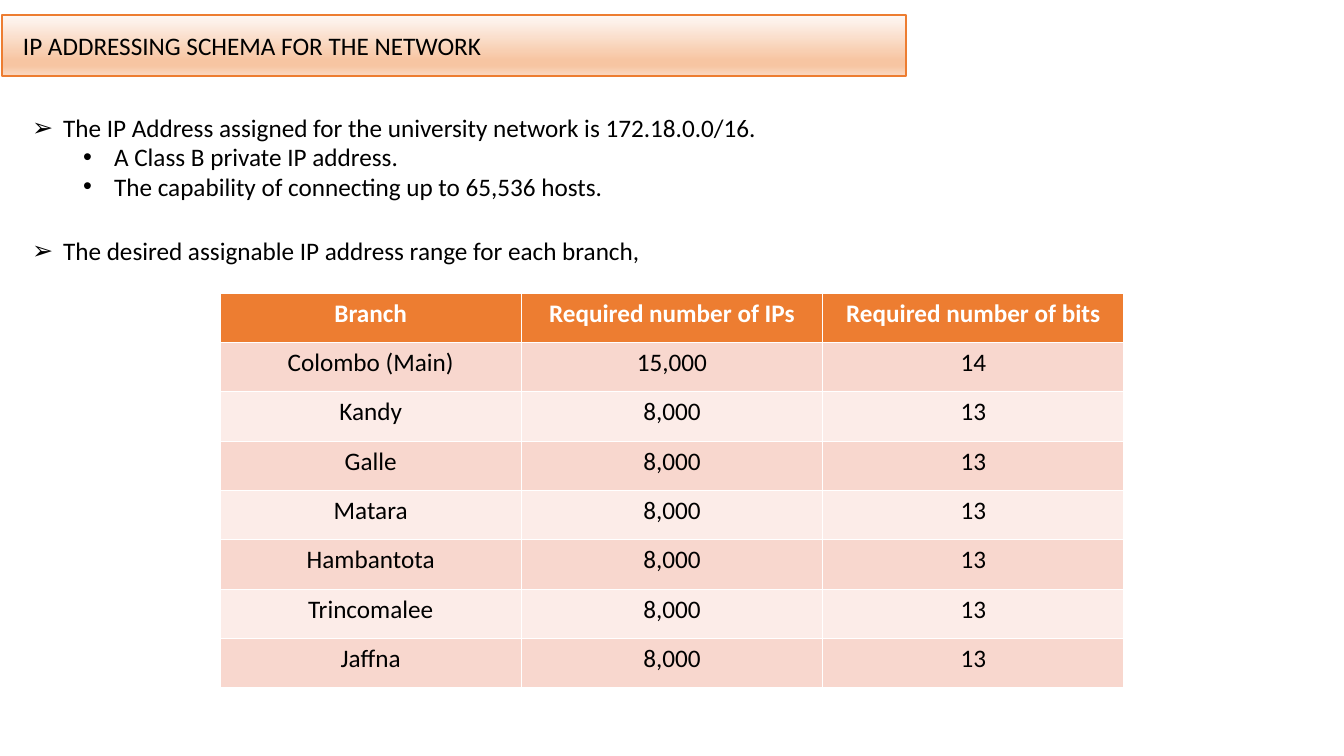
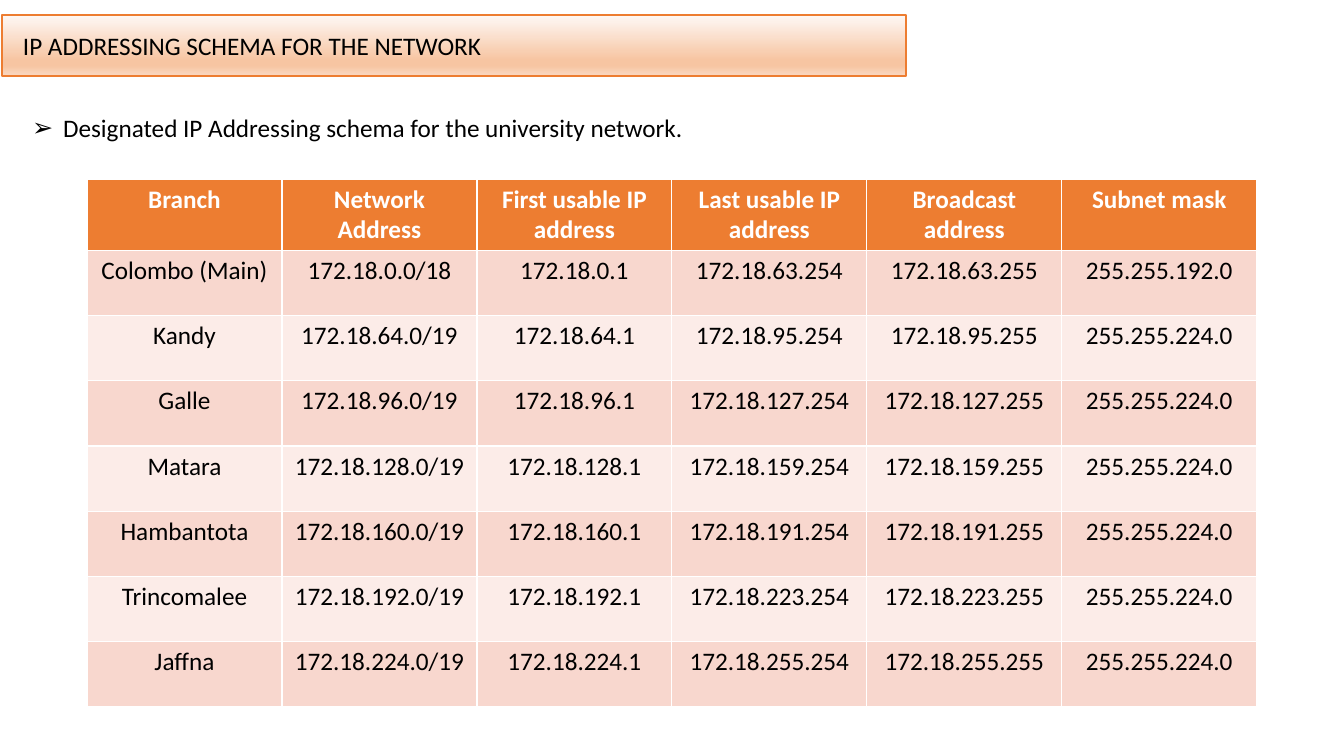
from lxml import etree
from pptx import Presentation
from pptx import util as u
from pptx.dml.color import RGBColor
from pptx.enum import text
from pptx.oxml import parse_xml
from pptx.oxml.ns import nsdecls, qn

PX = 12192000 / 1344
FONT = "Calibri"
SIZE = u.Pt(18)
BLACK = RGBColor(0x00, 0x00, 0x00)
WHITE = RGBColor(0xFF, 0xFF, 0xFF)
ORANGE = RGBColor(0xED, 0x7D, 0x31)
ROW_TINTS = [RGBColor(0xFC, 0xEC, 0xE8), RGBColor(0xF8, 0xD7, 0xCE)]
BAND_STOPS = [
    (0, RGBColor(0xFE, 0xF8, 0xF5)),
    (74, RGBColor(0xF7, 0xC5, 0xA2)),
    (83, RGBColor(0xF7, 0xC5, 0xA2)),
    (100, RGBColor(0xFA, 0xD8, 0xC1)),
]
TITLE = "IP ADDRESSING SCHEMA FOR THE NETWORK"
BULLETS = ["➢", "•"]
INDENTS = [31, 82]
HANGING = 31

# Branch, required number of IPs, required number of bits
BRANCHES = [("Colombo (Main)", "15,000", 14)] + [
    (name, "8,000", 13)
    for name in ("Kandy", "Galle", "Matara", "Hambantota", "Trincomalee", "Jaffna")
]

requirements = [("Branch", "Required number of IPs", "Required number of bits")] + BRANCHES

subnets = [("Branch", "Network Address", "First usable IP address",
            "Last usable IP address", "Broadcast address", "Subnet mask")]
start = 0
for branch, _, bits in BRANCHES:
    size = 2 ** (bits - 8)
    end = start + size - 1
    subnets.append((
        branch,
        f"172.18.{start}.0/{32 - bits}",
        f"172.18.{start}.1",
        f"172.18.{end}.254",
        f"172.18.{end}.255",
        f"255.255.{256 - size}.0",
    ))
    start += size

# List items are (level, points of space before, words); table boxes are in px
PAGES = [
    (
        [
            (0, 0, "The IP Address assigned for the university network is 172.18.0.0/16."),
            (1, 0, "A Class B private IP address."),
            (1, 0, "The capability of connecting up to 65,536 hosts."),
            (0, 25, "The desired assignable IP address range for each branch,"),
        ],
        requirements,
        (220, 293, 904, 395),
    ),
    (
        [(0, 0, "Designated IP Addressing schema for the university network.")],
        subnets,
        (87, 179, 1170, 521),
    ),
]


def px(length):
    return u.Emu(round(length * PX))


def place(shape, left, top, width, height):
    shape.left, shape.top = px(left), px(top)
    shape.width, shape.height = px(width), px(height)


deck = Presentation()
deck.slide_width, deck.slide_height = px(1344), px(756)

for items, rows, table_box in PAGES:
    page = deck.slides.add_slide(deck.slide_layouts[1])

    # Title band
    band = page.shapes.title
    place(band, 2, 15, 904, 61)
    stops = "".join(
        f'<a:gs pos="{pos * 1000}"><a:srgbClr val="{color}"/></a:gs>'
        for pos, color in BAND_STOPS
    )
    properties = band.element.spPr
    properties.append(parse_xml(
        f'<a:prstGeom {nsdecls("a")} prst="homePlate"><a:avLst/></a:prstGeom>'))
    properties.append(parse_xml(
        f'<a:gradFill {nsdecls("a")}><a:gsLst>{stops}</a:gsLst>'
        '<a:lin ang="5400000" scaled="0"/></a:gradFill>'))
    band.line.color.rgb = ORANGE
    band.line.width = u.Pt(1)
    frame = band.text_frame
    frame.text = TITLE
    frame.auto_size = text.MSO_AUTO_SIZE.NONE
    frame.vertical_anchor = text.MSO_ANCHOR.MIDDLE
    frame.margin_left = px(21)
    para = frame.paragraphs[0]
    para.alignment = text.PP_ALIGN.LEFT
    para.font.name, para.font.size = FONT, SIZE
    para.font.color.rgb = BLACK

    # Bulleted list
    body = page.placeholders[1]
    place(body, 22, 108, 763, 40 * len(items))
    frame = body.text_frame
    frame.text = "\n".join(words for _, _, words in items)
    frame.auto_size = text.MSO_AUTO_SIZE.NONE
    for para, (level, space, _) in zip(frame.paragraphs, items):
        para.level = level
        para.line_spacing = u.Pt(21)
        para.space_before = u.Pt(space)
        layout = para._p.get_or_add_pPr()
        layout.set("marL", str(px(INDENTS[level])))
        layout.set("indent", str(-px(HANGING)))
        etree.SubElement(layout, qn("a:buChar")).set("char", BULLETS[level])
        para.font.name, para.font.size = FONT, SIZE
        para.font.color.rgb = BLACK

    # Table
    table = page.shapes.add_table(
        len(rows), len(rows[0]), *(px(length) for length in table_box)).table
    for r, values in enumerate(rows):
        header = r == 0
        for c, value in enumerate(values):
            cell = table.cell(r, c)
            cell.fill.solid()
            cell.fill.fore_color.rgb = ORANGE if header else ROW_TINTS[r % 2]
            cell.text = str(value)
            para = cell.text_frame.paragraphs[0]
            para.alignment = text.PP_ALIGN.CENTER
            font = para.runs[0].font
            font.name, font.size, font.bold = FONT, SIZE, header
            font.color.rgb = WHITE if header else BLACK

deck.save("out.pptx")
